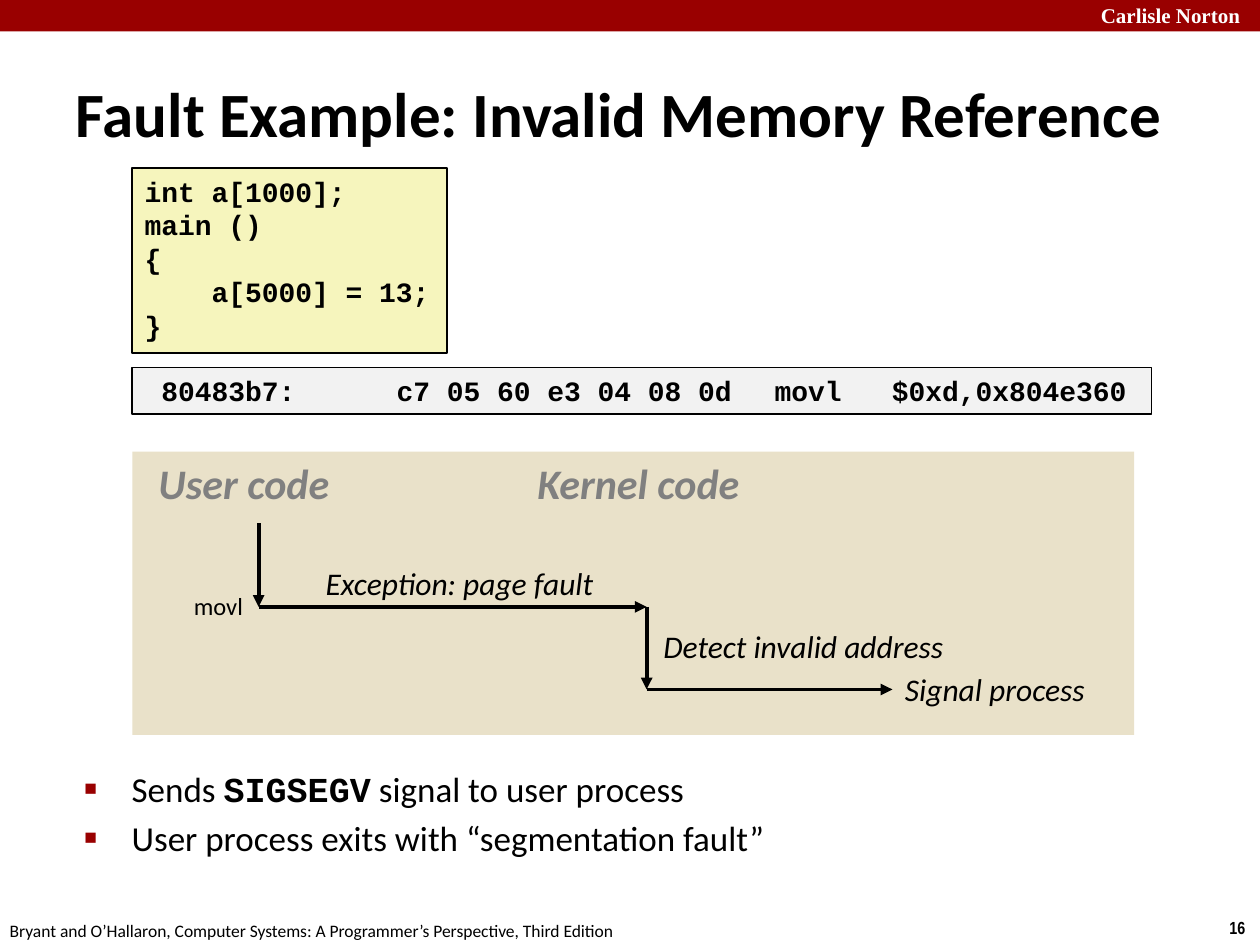
"""Build the slide on a fault caused by an invalid memory reference."""
from lxml.etree import SubElement
from pptx import Presentation
from pptx.dml.color import RGBColor
from pptx.enum.shapes import MSO_CONNECTOR, MSO_SHAPE
from pptx.enum.text import MSO_ANCHOR, MSO_AUTO_SIZE, PP_ALIGN
from pptx.oxml.ns import qn
from pptx.util import Pt

THEME = {
    "red": "990000", "black": "000000", "code": "F6F5BD",
    "asm": "F2F2F2", "panel": "E9E1C9",
    "title": dict(name="Calibri", size=36, color="000000", bold=True),
    "body": dict(name="Calibri", size=20, color="000000", bold=False),
    "signal": dict(name="Courier New", size=20, color="000000", bold=True),
    "mono": dict(name="Courier New", size=16, color="000000", bold=True),
    "heading": dict(name="Calibri", size=24, color="808080", bold=True, italic=True),
    "step": dict(name="Calibri", size=18, color="000000", italic=True),
    "small": dict(name="Calibri", size=14, color="000000"),
    "footer": dict(name="Calibri", size=10, color="000000"),
    "number": dict(name="Arial Narrow", size=10, color="000000", bold=True),
    "brand": dict(name="Times New Roman", size=12, color="FFFFFF", bold=True),
}

TITLE = "Fault Example: Invalid Memory Reference"
BULLETS = [
    [("Sends ", "body"), ("SIGSEGV", "signal"), (" signal to user process", "body")],
    [("User process exits with “segmentation fault”", "body")],
]
CODE = ["int a[1000];", "main ()", "{", "    a[5000] = 13;", "}"]
ASM = [" 80483b7:\tc7 05 60 e3 04 08 0d \tmovl   $0xd,0x804e360"]
ASM_TABS = [144, 360]

LEFT = 75.6
BOXES = [
    ((0, 0, 720, 18), "red", None, []),
    ((LEFT, 96, 180, 105.6), "code", "black", CODE),
    ((LEFT, 210, 582.5, 26.64), "asm", "black", ASM),
    ((LEFT, 258, 572.5, 162), "panel", None, []),
]
LABELS = [
    ("Carlisle Norton", "brand", (622, -2, 103, 21.6)),
    ("16", "number", (695.5, 520.5, 24.5, 19.5)),
    ("Bryant and O’Hallaron, Computer Systems: A Programmer’s Perspective, Third Edition",
     "footer", (-1.5, 522, 366, 19.5)),
    ("User code", "heading", (83.5, 258, 119, 36)),
    ("Kernel code", "heading", (300, 258, 138, 36)),
    ("Exception: page fault", "step", (179, 318.5, 175, 29)),
    ("Detect invalid address", "step", (372, 354.5, 180, 29)),
    ("Signal process", "step", (510, 379.5, 126, 29)),
    ("movl", "small", (103.7, 334, 44, 24.5)),
]
USER_X, KERNEL_X, SIGNAL_X = 147.8, 369.5, 510
START_Y, FAULT_Y, SIGNAL_Y = 299, 346.8, 394
ARROWS = [
    (USER_X, START_Y, USER_X, FAULT_Y),
    (USER_X, FAULT_Y, KERNEL_X, FAULT_Y),
    (KERNEL_X, FAULT_Y, KERNEL_X, SIGNAL_Y),
    (KERNEL_X, SIGNAL_Y, SIGNAL_X, SIGNAL_Y),
]


def rgb(name):
    return RGBColor.from_string(THEME.get(name, name))


def place(sp, at):
    for attr, value in zip(("left", "top", "width", "height"), at):
        setattr(sp, attr, Pt(value))


def write(tf, paragraphs, anchor=MSO_ANCHOR.TOP):
    frame = dict(word_wrap=True, auto_size=MSO_AUTO_SIZE.NONE, vertical_anchor=anchor)
    for attr, value in frame.items():
        setattr(tf, attr, value)
    for i, runs in enumerate(paragraphs):
        p = tf.add_paragraph() if i else tf.paragraphs[0]
        p.alignment = PP_ALIGN.LEFT
        for text, style in runs:
            r = p.add_run()
            r.text = text
            for attr, value in THEME[style].items():
                if attr == "color":
                    r.font.color.rgb = rgb(value)
                else:
                    setattr(r.font, attr, Pt(value) if attr == "size" else value)


def indent(p, points):
    pPr = p._p.get_or_add_pPr()
    pPr.set("marL", str(Pt(points)))
    pPr.set("indent", str(-Pt(points)))
    return pPr


def add_bullet(p):
    p.space_before = Pt(4)
    pPr = indent(p, 27)
    color = SubElement(pPr, qn("a:buClr"))
    SubElement(color, qn("a:srgbClr"), val=THEME["red"])
    SubElement(pPr, qn("a:buSzPct"), val="60000")
    SubElement(pPr, qn("a:buChar"), char="■")


def add_tabs(p, stops):
    tabs = SubElement(p._p.get_or_add_pPr(), qn("a:tabLst"))
    for stop in stops:
        SubElement(tabs, qn("a:tab"), pos=str(Pt(stop)), algn="l")


def add_box(s, at, fill, line, lines):
    sp = s.shapes.add_shape(MSO_SHAPE.RECTANGLE, *map(Pt, at))
    sp.shadow.inherit = False
    sp.fill.solid()
    sp.fill.fore_color.rgb = rgb(fill)
    if line:
        sp.line.color.rgb = rgb(line)
        sp.line.width = Pt(1)
    else:
        sp.line.fill.background()
    if lines:
        write(sp.text_frame, [[(text, "mono")] for text in lines])
    if lines is ASM:
        add_tabs(sp.text_frame.paragraphs[0], ASM_TABS)


def add_arrow(s, ends):
    cn = s.shapes.add_connector(MSO_CONNECTOR.STRAIGHT, *map(Pt, ends))
    cn.line.color.rgb = rgb("black")
    cn.line.width = Pt(2.25)
    SubElement(cn.line._get_or_add_ln(), qn("a:tailEnd"), type="triangle")
    SubElement(cn._element.spPr, qn("a:effectLst"))


def main():
    prs = Presentation()
    prs.slide_width, prs.slide_height = Pt(720), Pt(540)
    s = prs.slides.add_slide(prs.slide_layouts[1])

    title, body = s.shapes.title, s.placeholders[1]
    place(title, (36, 42, 684, 44))
    write(title.text_frame, [[(TITLE, "title")]], MSO_ANCHOR.MIDDLE)
    indent(title.text_frame.paragraphs[0], 9)
    place(body, (41, 435, 528, 69))
    write(body.text_frame, BULLETS)
    for p in body.text_frame.paragraphs:
        add_bullet(p)

    for box in BOXES:
        add_box(s, *box)
    for text, style, at in LABELS:
        sp = s.shapes.add_textbox(*map(Pt, at))
        write(sp.text_frame, [[(text, style)]])
    for ends in ARROWS:
        add_arrow(s, ends)
    prs.save("out.pptx")


if __name__ == "__main__":
    main()
